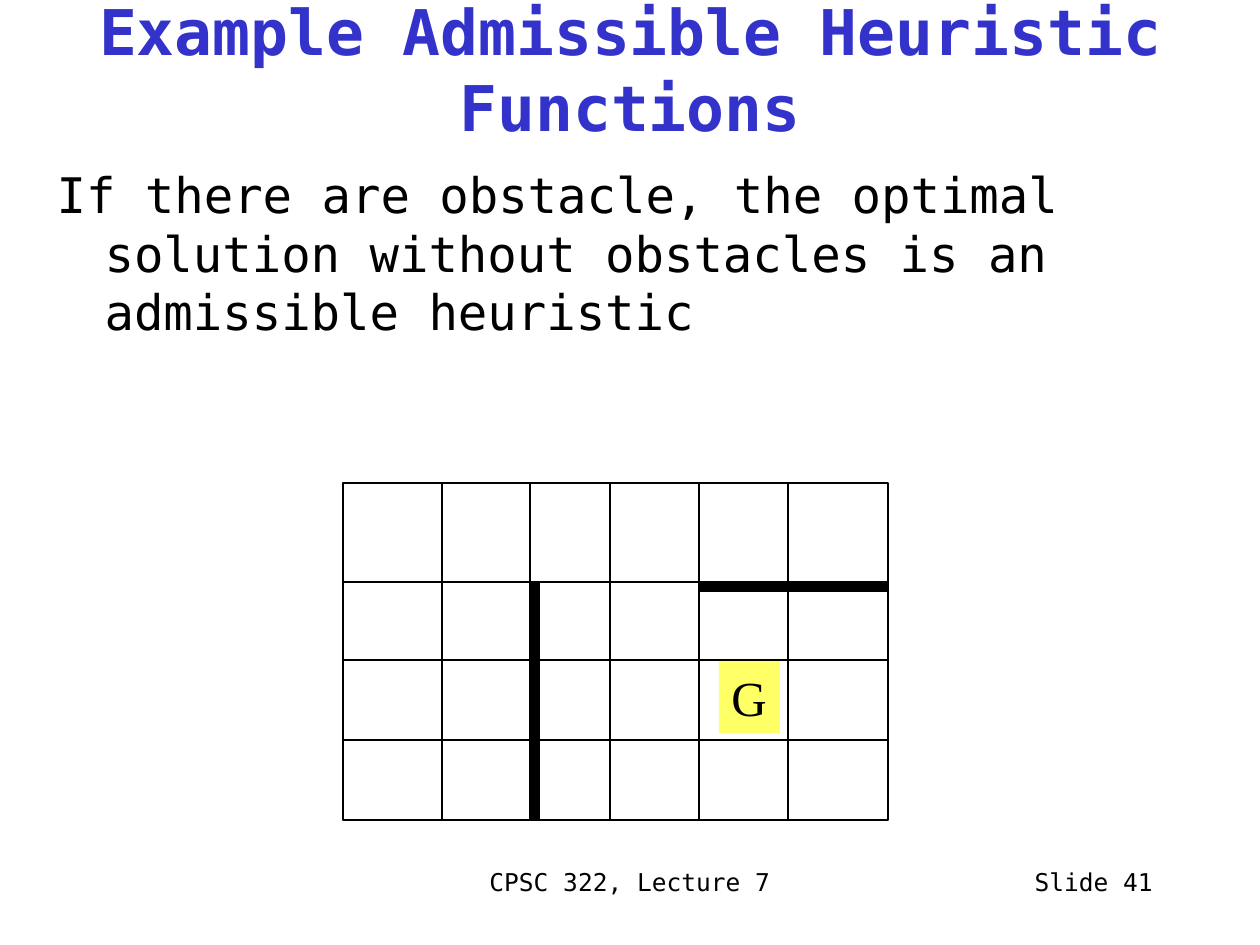
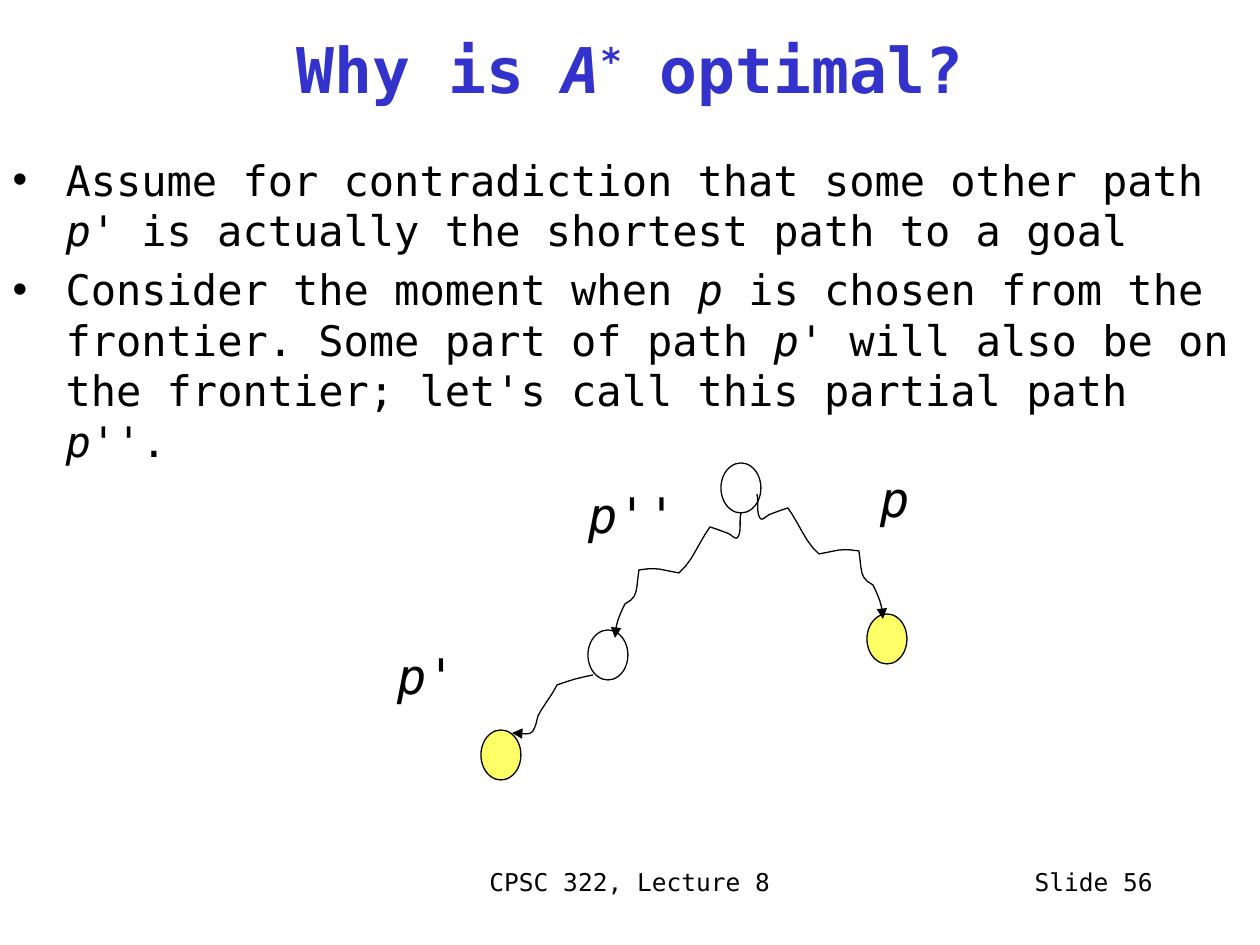
from itertools import chain
from lxml.etree import SubElement
from pptx import Presentation
from pptx.dml.color import RGBColor
from pptx.enum.shapes import MSO_CONNECTOR, MSO_SHAPE
from pptx.enum.text import MSO_ANCHOR, MSO_AUTO_SIZE, PP_ALIGN
from pptx.oxml.ns import qn
from pptx.util import Inches, Pt

UNIT = Inches(1) / 126
FINE = 10
STEPS = 6
MONO = "DejaVu Sans Mono"
HUES = {"ink": "000000", "title": "3333CC", "goal": "FFFF66"}
FORMS = {
    "title": {"size": Pt(36), "bold": True, "name": MONO},
    "lead": {"size": Pt(28), "name": MONO},
    "list": {"size": Pt(24), "name": MONO},
    "foot": {"size": Pt(14), "name": MONO},
    "goal": {"size": Pt(28), "name": "Times New Roman"},
}


def px(*sizes):
    return [round(size * UNIT) for size in sizes]


def hue(name):
    return RGBColor.from_string(HUES[name])


def curve(start, bends):
    spots = [start]
    for one, two, end in bends:
        first = spots[-1]
        for step in range(1, STEPS + 1):
            t = step / STEPS
            u = 1 - t
            spots.append(tuple(
                u**3 * a + 3 * u * u * t * b + 3 * u * t * t * c + t**3 * d
                for a, b, c, d in zip(first, one, two, end)))
    return spots


class Deck:
    def __init__(self):
        self.prs = Presentation()
        self.prs.slide_width, self.prs.slide_height = px(1260, 945)

    def page(self, title, lecture, number):
        self.slide = self.prs.slides.add_slide(self.prs.slide_layouts[1])
        head = self.slide.shapes.title
        self.place(head, (42, 21, 1176, 95))
        self.frame(head, MSO_ANCHOR.MIDDLE)
        self.words(head.text_frame.paragraphs[0], title, "title",
                   PP_ALIGN.CENTER, "title")
        self.label((430, 867, 400, 50), f"CPSC 322, Lecture {lecture}",
                   "foot", PP_ALIGN.CENTER)
        self.label((903, 867, 250, 50), f"Slide {number}", "foot",
                   PP_ALIGN.RIGHT)

    def place(self, shape, box):
        shape.left, shape.top, shape.width, shape.height = px(*box)

    def frame(self, shape, anchor=MSO_ANCHOR.TOP):
        frame = shape.text_frame
        frame.auto_size = MSO_AUTO_SIZE.NONE
        frame.word_wrap = True
        frame.vertical_anchor = anchor
        return frame

    def words(self, para, runs, form, align=PP_ALIGN.LEFT, tint="ink"):
        para.alignment = align
        for text, marks in [(runs, "")] if isinstance(runs, str) else runs:
            run = para.add_run()
            run.text = text
            for key, value in FORMS[form].items():
                setattr(run.font, key, value)
            run.font.italic = "i" in marks
            run.font.color.rgb = hue(tint)
            if "^" in marks:
                run.font._element.set("baseline", "30000")

    def body(self, box, items, form, hang, mark=None):
        shape = self.slide.placeholders[1]
        self.place(shape, box)
        frame = self.frame(shape)
        for index, runs in enumerate(items):
            para = frame.add_paragraph() if index else frame.paragraphs[0]
            para.space_before = Pt(5 if index else 0)
            props = para._p.get_or_add_pPr()
            props.set("marL", str(px(hang)[0]))
            props.set("indent", str(px(-hang)[0]))
            if mark:
                SubElement(props, qn("a:buChar"), char=mark)
            else:
                SubElement(props, qn("a:buNone"))
            self.words(para, runs, form)

    def label(self, box, runs, form, align=PP_ALIGN.LEFT):
        shape = self.slide.shapes.add_textbox(*px(*box))
        frame = self.frame(shape)
        for side in ("left", "top", "right", "bottom"):
            setattr(frame, f"margin_{side}", 0)
        self.words(frame.paragraphs[0], runs, form, align)

    def paint(self, shape, fill, line):
        shape.shadow.inherit = False
        if fill:
            shape.fill.solid()
            shape.fill.fore_color.rgb = hue(fill)
        else:
            shape.fill.background()
        if line:
            self.stroke(shape)
        else:
            shape.line.fill.background()

    def stroke(self, shape):
        shape.line.color.rgb = hue("ink")
        shape.line.width = Pt(0.75)

    def shape(self, kind, box, fill=None, line=True):
        shape = self.slide.shapes.add_shape(kind, *px(*box))
        self.paint(shape, fill, line)
        return shape

    def line(self, *ends):
        line = self.slide.shapes.add_connector(MSO_CONNECTOR.STRAIGHT, *px(*ends))
        self.stroke(line)
        SubElement(line._element.spPr, qn("a:effectLst"))

    def route(self, start, bends):
        spots = [(x * FINE, y * FINE) for x, y in curve(start, bends)]
        build = self.slide.shapes.build_freeform(*spots[0], scale=UNIT / FINE)
        build.add_line_segments(spots[1:], close=False)
        shape = build.convert_to_shape()
        self.paint(shape, None, True)
        SubElement(shape.line._get_or_add_ln(), qn("a:tailEnd"), type="triangle")


def grid(deck):
    deck.page("Example Admissible Heuristic Functions", 7, 41)
    deck.body((44, 158, 1166, 180), [
        "If there are obstacle, the optimal solution without obstacles "
        "is an admissible heuristic"], "lead", 48)
    left, top, right, low = 343, 483, 888, 820
    cols, rows = (442, 530, 610, 699, 788), (582, 660, 740)
    deck.shape(MSO_SHAPE.RECTANGLE, (left, top, right - left, low - top))
    for ends in chain(((x, top, x, low) for x in cols),
                      ((left, y, right, y) for y in rows)):
        deck.line(*ends)
    for wall in ((cols[1], rows[0], 10, low - rows[0]),
                 (cols[3], rows[0], right - cols[3], 10)):
        deck.shape(MSO_SHAPE.RECTANGLE, wall, "ink", False)
    goal = deck.shape(MSO_SHAPE.RECTANGLE, (719, 661, 61, 72), "goal", False)
    deck.words(deck.frame(goal).paragraphs[0], "G", "goal")


def proof(deck):
    deck.page([("Why is ", ""), ("A", "i"), ("*", "i^"), (" optimal?", "")], 8, 56)
    deck.body((0, 148, 1260, 525), [
        [("Assume for contradiction that some other path ", ""), ("p'", "i"),
         (" is actually the shortest path to a goal", "")],
        [("Consider the moment when ", ""), ("p", "i"),
         (" is chosen from the frontier. Some part of path ", ""), ("p'", "i"),
         (" will also be on the frontier; let's call this partial path ", ""),
         ("p''", "i"), (".", "")]], "list", 53, "•")
    for x, y, fill in ((721, 463, None), (867, 614, "goal"),
                       (481, 730, "goal"), (588, 630, None)):
        deck.shape(MSO_SHAPE.OVAL, (x, y, 40, 50), fill)
    start = (757, 494)
    bends = [
        ((759, 501), (756, 512), (760, 518)),
        ((762, 522), (767, 515), (771, 514)),
        ((776, 512), (788, 508), (788, 508)),
        ((799, 523), (805, 542), (819, 554)),
        ((837, 551), (840, 548), (859, 551)),
        ((862, 570), (859, 578), (873, 585)),
        ((878, 595), (883, 606), (883, 619)),
    ]

    def flip(spot):
        return 1498 - spot[0], spot[1] + 19

    deck.route(start, bends)
    deck.route(flip(start), [[flip(spot) for spot in bend] for bend in bends])
    deck.route((593, 675), [
        ((578, 678), (571, 680), (557, 685)),
        ((551, 697), (543, 706), (538, 716)),
        ((533, 740), (530, 733), (512, 733)),
    ])
    for x, y, name in ((880, 469, "p"), (397, 646, "p'"), (588, 485, "p''")):
        deck.label((x, y, 100, 60), [(name, "i")], "lead")


def main():
    deck = Deck()
    grid(deck)
    proof(deck)
    deck.prs.save("out.pptx")


if __name__ == "__main__":
    main()
